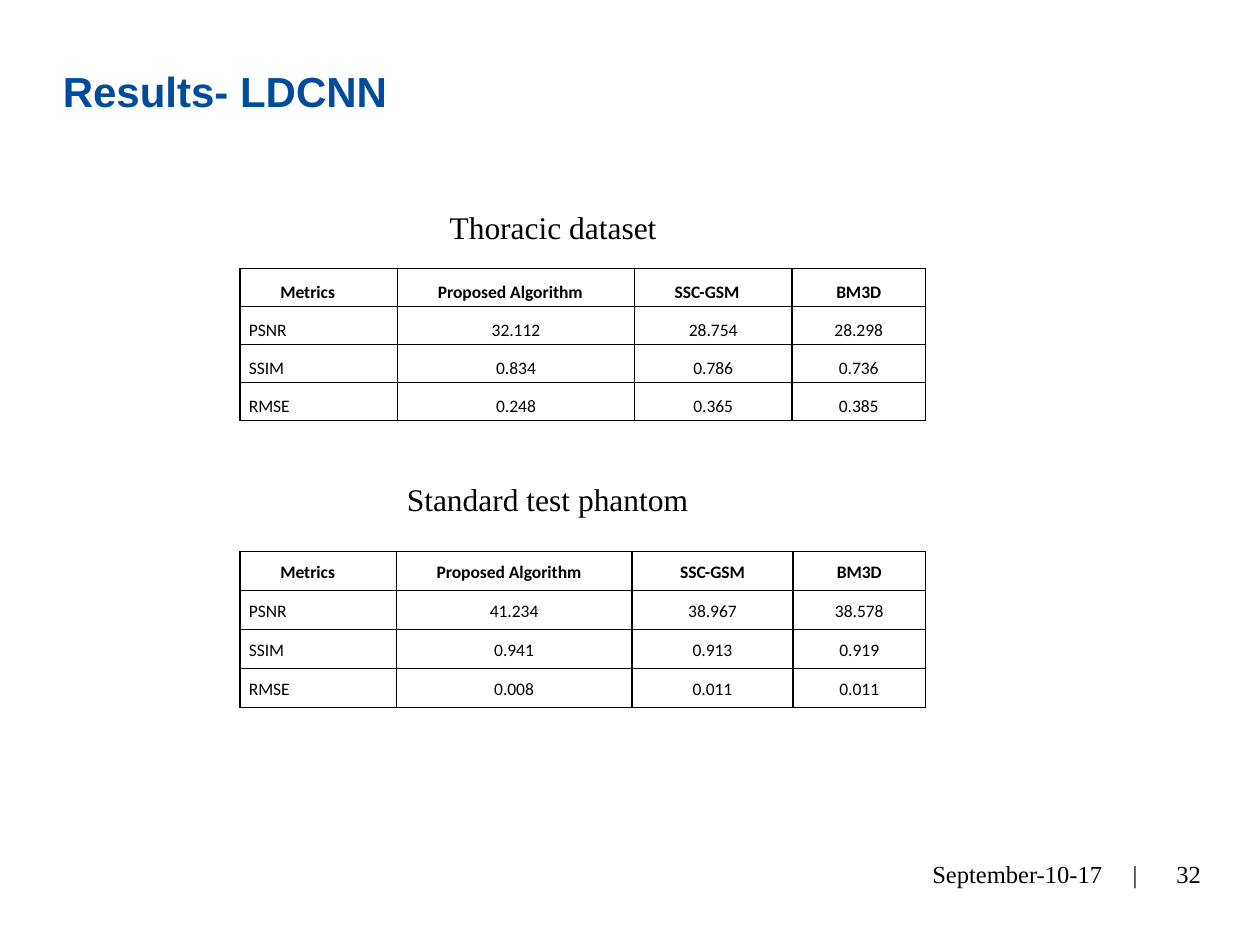
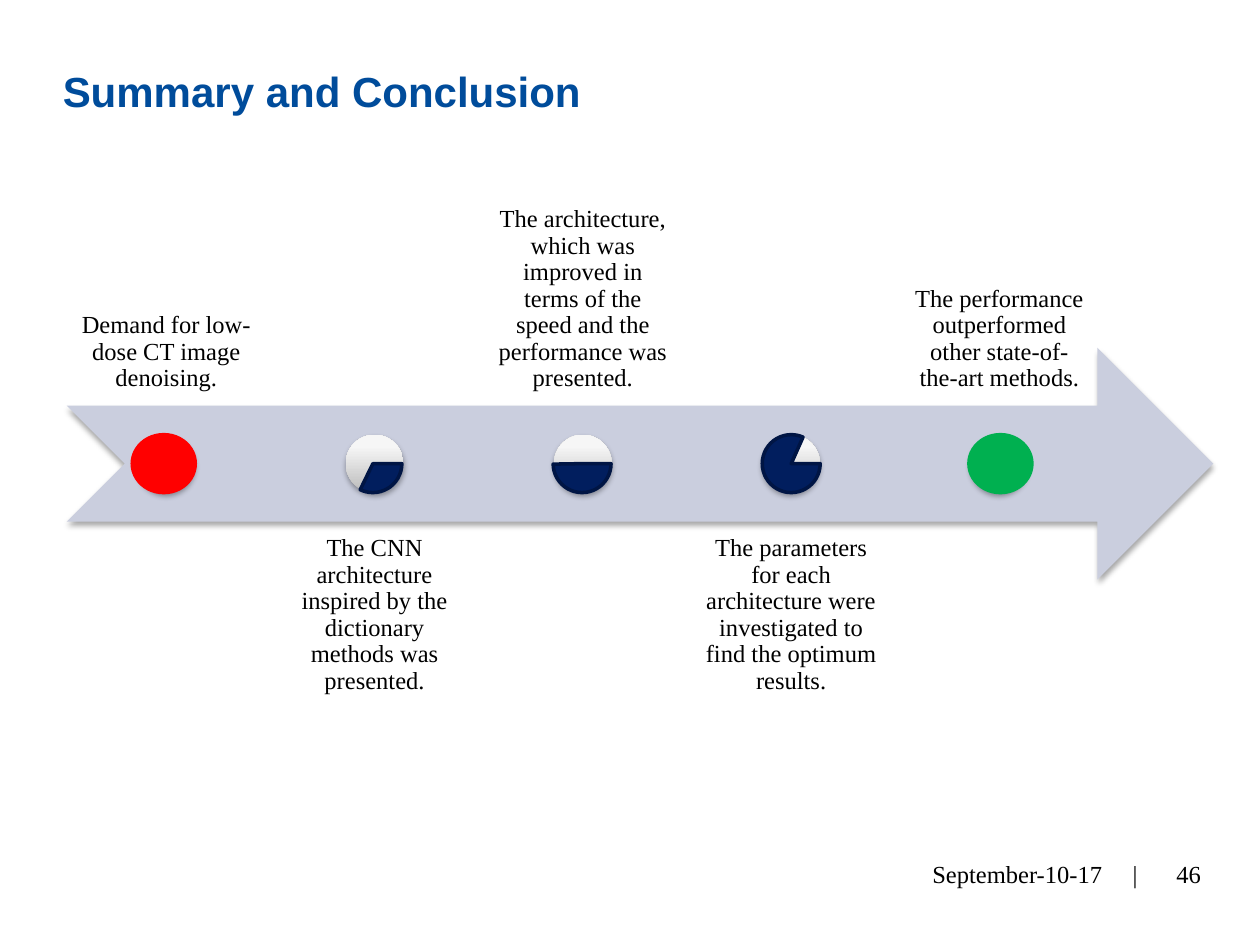
from lxml import etree
from pptx import Presentation
from pptx import util as u
from pptx.dml.color import RGBColor
from pptx.enum import shapes, text
from pptx.oxml import ns, parse_xml

COLUMNS, ROWS = 100, 75
BLACK, BLUE, NAVY, NAVY_EDGE = "000000", "004C9B", "011E5E", "001544"
RED, GREEN, ARROW = "FF0000", "00B050", "CACEDE"
SHEEN = [(0, "BBBBBB"), (80, "F6F6F6"), (100, "F7F7F7")]
SERIF, SANS, TABLE_FONT = "Times New Roman", "Arial", "Calibri"
LEFT, CENTER, RIGHT = text.PP_ALIGN.LEFT, text.PP_ALIGN.CENTER, text.PP_ALIGN.RIGHT
TOP, MIDDLE, BOTTOM = text.MSO_ANCHOR.TOP, text.MSO_ANCHOR.MIDDLE, text.MSO_ANCHOR.BOTTOM
KIND = shapes.MSO_SHAPE


def color(hex_string):
    return RGBColor.from_string(hex_string)


def drawing_xml(tag, content):
    return parse_xml(f'<a:{tag} {ns.nsdecls("a")}>{content}</a:{tag}>')


class Deck:
    def __init__(self):
        self.presentation = Presentation()
        self.presentation.slide_width = u.Inches(10)
        self.presentation.slide_height = u.Inches(7.5)
        self.slide = None

    def across(self, columns):
        return round(self.presentation.slide_width * columns / COLUMNS)

    def down(self, rows):
        return round(self.presentation.slide_height * rows / ROWS)

    def place(self, left, top, width, height):
        return self.across(left), self.down(top), self.across(width), self.down(height)

    def new_slide(self, title, number):
        self.slide = self.presentation.slides.add_slide(self.presentation.slide_layouts[6])
        self.text((88.9, 67.35, 7.4, 4), number, align=RIGHT, anchor=MIDDLE)
        date = self.text((68.6, 67.35, 22.7, 4), "September-10-17\t|", anchor=MIDDLE, insets=(5.4, 0.5, 0, 0.5))
        tabs = etree.SubElement(date._p.get_or_add_pPr(), ns.qn("a:tabLst"))
        etree.SubElement(tabs, ns.qn("a:tab"), pos=str(self.across(15.9)), algn="l")
        self.style(date)
        self.text((4, 4.3, 92.4, 11.7), title, size=24, font=SANS, hue=BLUE, bold=True, spacing=1.11)

    def style(self, paragraph, size=14, font=SERIF, hue=BLACK, bold=False, align=LEFT, spacing=None):
        paragraph.alignment = align
        paragraph.line_spacing = spacing
        paragraph.font.size = u.Pt(size)
        paragraph.font.name = font
        paragraph.font.bold = bold
        paragraph.font.color.rgb = color(hue)

    def text(self, box, words, anchor=TOP, insets=(1, 0.5, 1, 0.5), **look):
        frame = self.slide.shapes.add_textbox(*self.place(*box)).text_frame
        frame.word_wrap = True
        frame.vertical_anchor = anchor
        frame.margin_left, frame.margin_right = self.across(insets[0]), self.across(insets[2])
        frame.margin_top, frame.margin_bottom = self.down(insets[1]), self.down(insets[3])
        paragraph = frame.paragraphs[0]
        paragraph.text = words
        self.style(paragraph, **look)
        return paragraph

    def shape(self, kind, box, fill=None, line=None):
        shape = self.slide.shapes.add_shape(kind, *self.place(*box))
        shape.shadow.inherit = False
        if fill:
            shape.fill.solid()
            shape.fill.fore_color.rgb = color(fill)
        if line:
            shape.line.color.rgb = color(line)
            shape.line.width = u.Pt(2)
        else:
            shape.line.fill.background()
        return shape

    def shadow(self, shape):
        effects = shape._element.spPr.find(ns.qn("a:effectLst"))
        effects.append(parse_xml(
            f'<a:outerShdw {ns.nsdecls("a")} blurRad="40000" dist="23000" dir="5400000" rotWithShape="0">'
            f'<a:srgbClr val="{BLACK}"><a:alpha val="35000"/></a:srgbClr></a:outerShdw>'))

    def sheen(self, shape):
        stops = "".join(f'<a:gs pos="{share * 1000}"><a:srgbClr val="{hue}"/></a:gs>' for share, hue in SHEEN)
        gradient = drawing_xml("gradFill", f'<a:gsLst>{stops}</a:gsLst><a:lin ang="16200000" scaled="0"/>')
        shape._element.spPr.find(ns.qn("a:prstGeom")).addnext(gradient)

    def pie(self, box, degrees):
        pie = self.shape(KIND.PIE, box, NAVY, NAVY_EDGE)
        pie.adjustments[0] = 0
        pie.adjustments[1] = degrees * 0.6

    def table(self, left, top, widths, row_height, records, indented, anchor):
        box = self.place(left, top, sum(widths), row_height * len(records))
        table = self.slide.shapes.add_table(len(records), len(widths), *box).table
        table.first_row = table.horz_banding = False
        for column, width in zip(table.columns, widths):
            column.width = self.across(width)
        for row_index, record in enumerate(records):
            table.rows[row_index].height = self.down(row_height)
            for column_index, words in enumerate(record):
                header = row_index == 0
                indent = header and column_index < indented
                align = LEFT if indent or column_index == 0 else CENTER
                self.cell(table.cell(row_index, column_index), words, header, indent, align, anchor)

    def cell(self, cell, words, header, indent, align, anchor):
        cell.margin_left = cell.margin_right = self.across(0.7)
        cell.margin_top = cell.margin_bottom = 0
        cell.vertical_anchor = anchor
        for side in ("lnL", "lnR", "lnT", "lnB"):
            border = drawing_xml(side, f'<a:solidFill><a:srgbClr val="{BLACK}"/></a:solidFill>')
            border.set("w", str(u.Pt(1)))
            cell._tc.get_or_add_tcPr().append(border)
        cell.fill.background()
        paragraph = cell.text_frame.paragraphs[0]
        paragraph.text = words
        if indent:
            properties = paragraph._p.get_or_add_pPr()
            properties.set("marL", str(self.across(2.5)))
            properties.set("indent", "0")
        self.style(paragraph, size=10, font=TABLE_FONT, bold=header, align=align, spacing=1.5)


def build_results(deck):
    header = ("Metrics", "Proposed Algorithm", "SSC-GSM", "BM3D")
    thoracic = [header, ("PSNR", "32.112", "28.754", "28.298"),
                ("SSIM", "0.834", "0.786", "0.736"), ("RMSE", "0.248", "0.365", "0.385")]
    phantom = [header, ("PSNR", "41.234", "38.967", "38.578"),
               ("SSIM", "0.941", "0.913", "0.919"), ("RMSE", "0.008", "0.011", "0.011")]
    deck.new_slide("Results- LDCNN", "32")
    deck.table(19.05, 21.3, (12.5, 18.8, 12.5, 10.6), 3.02, thoracic, 3, MIDDLE)
    deck.table(19.05, 43.75, (12.4, 18.7, 12.8, 10.5), 3.1, phantom, 2, TOP)
    deck.text((34.7, 16, 32.6, 4), "Thoracic dataset", size=18)
    deck.text((31.3, 37.6, 29.8, 4), "Standard test phantom", size=18)


def build_summary(deck):
    milestones = [
        "Demand for low-dose CT image denoising.",
        "The CNN architecture inspired by the dictionary methods was presented.",
        "The architecture, which was improved in terms of the speed and the performance was presented.",
        "The parameters for each architecture were investigated to find the optimum results.",
        "The performance outperformed other state-of-the-art methods.",
    ]
    progress = {1: 116, 2: 179, 3: 294}
    ends = {0: RED, 4: GREEN}
    dot_top, dot_size, end_width = 34.5, 4.6, 5
    deck.new_slide("Summary and Conclusion", "46")
    deck.shadow(deck.shape(KIND.NOTCHED_RIGHT_ARROW, (5.3, 27.6, 91, 18.4), ARROW))
    for index, milestone in enumerate(milestones):
        below = index % 2
        deck.text((5.3 + 16.53 * index, 41.4 if below else 13.8, 15.8, 18.4), milestone,
                  anchor=TOP if below else BOTTOM, insets=(1.1,) * 4, align=CENTER, spacing=0.9)
        dot = deck.shape(KIND.OVAL, (10.9 + 16.53 * index, dot_top, dot_size, dot_size))
        deck.sheen(dot)
        deck.shadow(dot)
        middle = 13 + 16.6 * index
        if index in ends:
            hue = ends[index]
            deck.shape(KIND.OVAL, (middle - end_width / 2, dot_top, end_width, dot_size), hue, hue)
        else:
            deck.pie((middle - dot_size / 2, dot_top, dot_size, dot_size), progress[index])


def main():
    deck = Deck()
    build_results(deck)
    build_summary(deck)
    deck.presentation.save("out.pptx")


if __name__ == "__main__":
    main()
